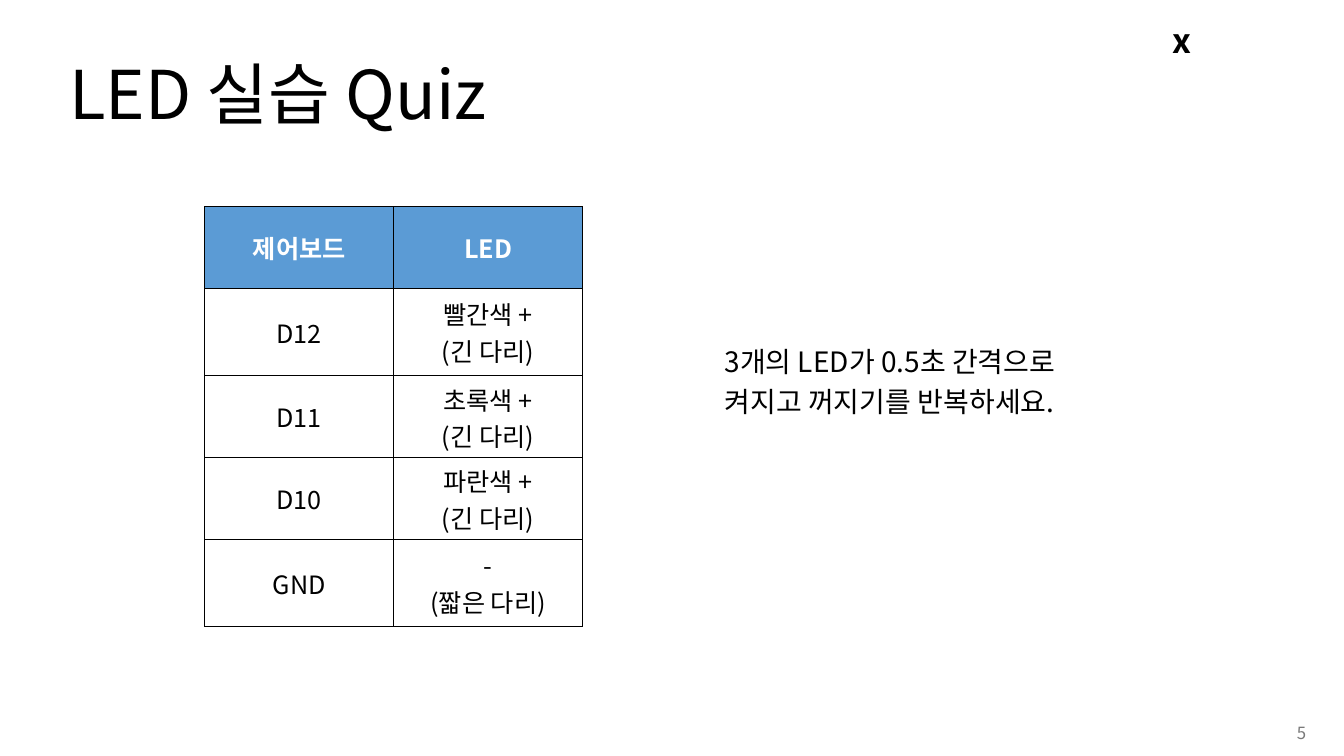
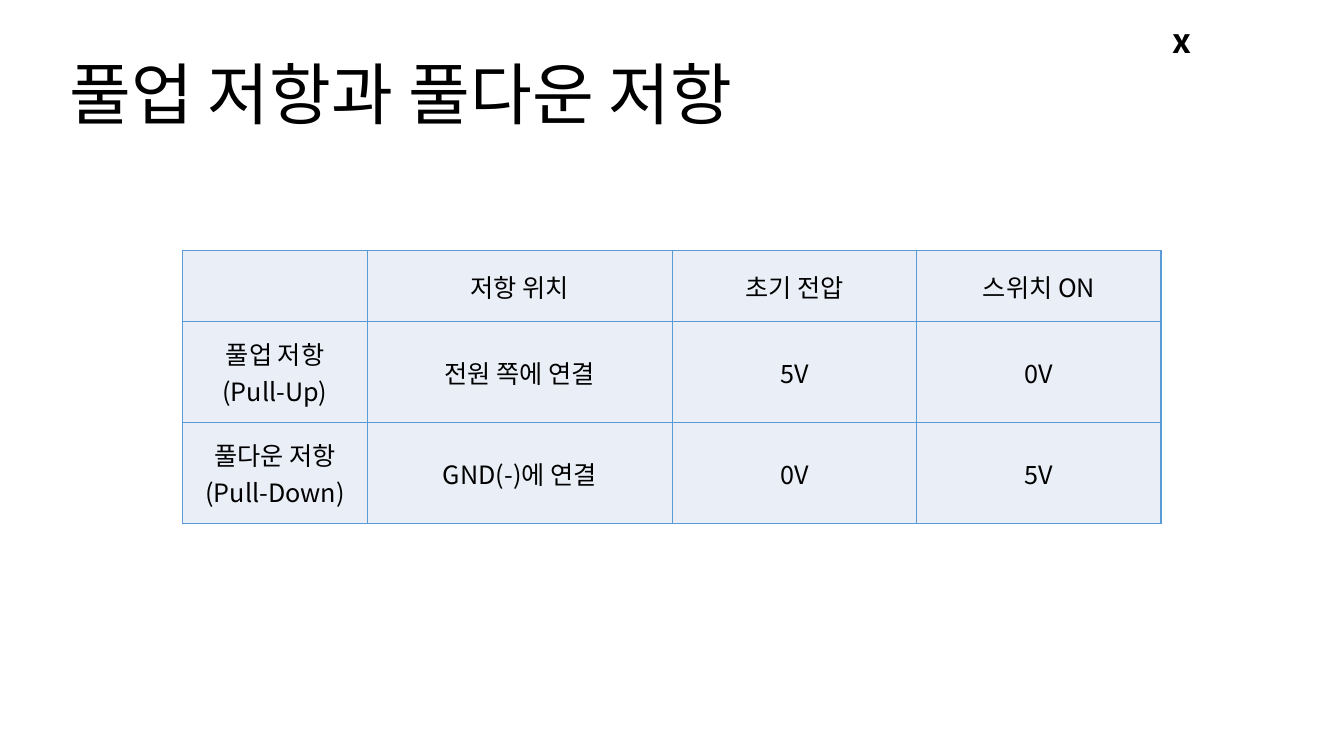
"""Builds two lesson slides on LED wiring and pull resistors."""
from dataclasses import dataclass

from lxml.etree import SubElement
from pptx import Presentation
from pptx.dml.color import RGBColor
from pptx.enum.text import MSO_ANCHOR, PP_ALIGN
from pptx.oxml.ns import qn
from pptx.util import Cm, Pt


@dataclass(frozen=True)
class Theme:
    font: str = "Noto Sans CJK KR"
    ink: str = "000000"
    paper: str = "FFFFFF"
    accent: str = "5B9BD5"
    tint: str = "EAEFF7"
    muted: str = "797979"
    title_size: int = 48
    mark_size: int = 24
    body_size: int = 20
    cell_size: int = 18
    number_size: int = 12
    border_width: int = 1


THEME = Theme()


def write(frame, text, *, size, color=THEME.ink, bold=False,
          align=PP_ALIGN.LEFT, spacing=1.0):
    for index, line in enumerate(text.split("\n")):
        paragraph = frame.add_paragraph() if index else frame.paragraphs[0]
        paragraph.alignment = align
        paragraph.line_spacing = spacing
        run = paragraph.add_run()
        run.text = line
        run.font.name = THEME.font
        run.font.size = Pt(size)
        run.font.bold = bold
        run.font.color.rgb = RGBColor.from_string(color)
        east_asian = SubElement(run.font._element, qn("a:ea"))
        east_asian.set("typeface", THEME.font)


class Deck:
    def __init__(self, theme):
        self.theme = theme
        self.presentation = Presentation()
        self.presentation.slide_width = Cm(33.87)
        self.presentation.slide_height = Cm(19.05)
        self.slide = None

    def add_slide(self, title):
        self.slide = self.presentation.slides.add_slide(
            self.presentation.slide_layouts[6])
        corner_mark = self.text(29.31, 0.61, 0.81, 0.89, "x", anchor=MSO_ANCHOR.TOP,
                                size=self.theme.mark_size, bold=True, spacing=0.9)
        corner_mark.margin_top = corner_mark.margin_bottom = 0
        self.text(1.5, 0.63, 29.21, 3.68, title,
                  size=self.theme.title_size, spacing=0.9)

    def text(self, left, top, width, height, words, anchor=MSO_ANCHOR.MIDDLE, **style):
        frame = self.slide.shapes.add_textbox(
            Cm(left), Cm(top), Cm(width), Cm(height)).text_frame
        frame.word_wrap = True
        frame.vertical_anchor = anchor
        write(frame, words, **style)
        return frame

    def page_number(self, number):
        self.text(25.55, 17.96, 7.62, 1.02, number, size=self.theme.number_size,
                  color=self.theme.muted, align=PP_ALIGN.RIGHT)

    def border(self, cell, color):
        properties = cell._tc.get_or_add_tcPr()
        for side in ("a:lnL", "a:lnR", "a:lnT", "a:lnB"):
            line = SubElement(properties, qn(side), w=str(Pt(self.theme.border_width)))
            SubElement(SubElement(line, qn("a:solidFill")), qn("a:srgbClr"), val=color)

    def table(self, left, top, widths, heights, rows, border, fill=None, header_fill=None):
        grid = self.slide.shapes.add_table(
            len(heights), len(widths), Cm(left), Cm(top),
            Cm(sum(widths)), Cm(sum(heights))).table
        grid.first_row = grid.horz_banding = False
        for column, width in zip(grid.columns, widths):
            column.width = Cm(width)
        for row_index, (row, height, words) in enumerate(zip(grid.rows, heights, rows)):
            row.height = Cm(height)
            heading = row_index == 0 and header_fill is not None
            cell_fill = header_fill if heading else fill
            for cell, label in zip(row.cells, words):
                self.border(cell, border)
                if cell_fill:
                    cell.fill.solid()
                    cell.fill.fore_color.rgb = RGBColor.from_string(cell_fill)
                else:
                    cell.fill.background()
                cell.vertical_anchor = MSO_ANCHOR.MIDDLE
                if label:
                    write(cell.text_frame, label, size=self.theme.cell_size, bold=heading,
                          color=self.theme.paper if heading else self.theme.ink,
                          align=PP_ALIGN.CENTER)


def main():
    deck = Deck(THEME)

    deck.add_slide("LED 실습 Quiz")
    wiring = [
        ("제어보드", "LED"),
        ("D12", "빨간색 +\n(긴 다리)"),
        ("D11", "초록색 +\n(긴 다리)"),
        ("D10", "파란색 +\n(긴 다리)"),
        ("GND", "-\n(짧은 다리)"),
    ]
    deck.table(5.16, 5.21, [4.76] * 2, [2.06, 2.2, 2.06, 2.06, 2.2], wiring,
               border=THEME.ink, header_fill=THEME.accent)
    deck.text(18.01, 6.3, 10.52, 6.45,
              "3개의 LED가 0.5초 간격으로 켜지고 꺼지기를 반복하세요.",
              size=THEME.body_size, spacing=1.2)
    deck.page_number("5")

    deck.add_slide("풀업 저항과 풀다운 저항")
    resistors = [
        ("", "저항 위치", "초기 전압", "스위치 ON"),
        ("풀업 저항\n(Pull-Up)", "전원 쪽에 연결", "5V", "0V"),
        ("풀다운 저항\n(Pull-Down)", "GND(-)에 연결", "0V", "5V"),
    ]
    deck.table(4.6, 6.32, [4.66, 7.68, 6.16, 6.16], [1.78, 2.55, 2.55], resistors,
               border=THEME.accent, fill=THEME.tint)

    deck.presentation.save("out.pptx")


if __name__ == "__main__":
    main()
